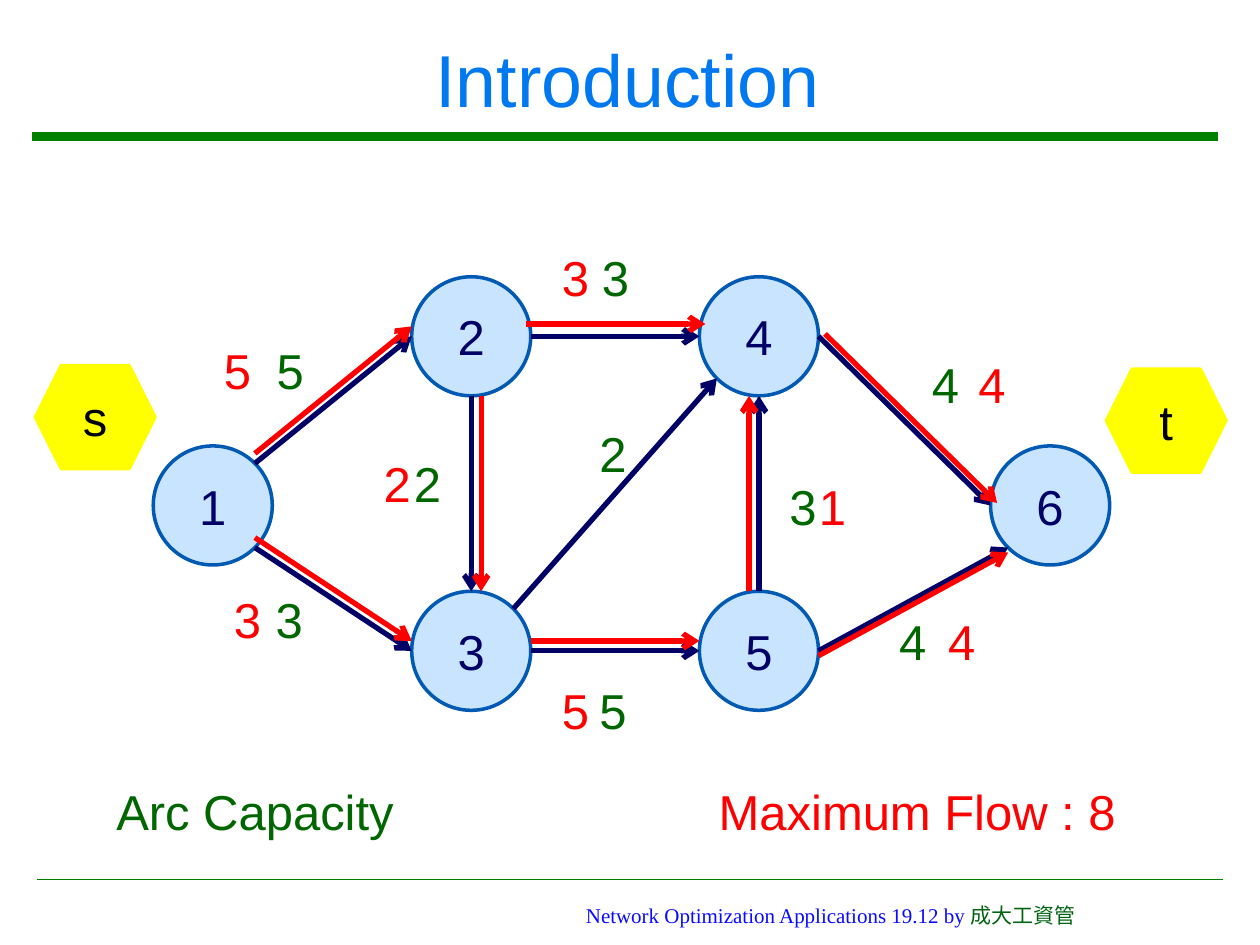
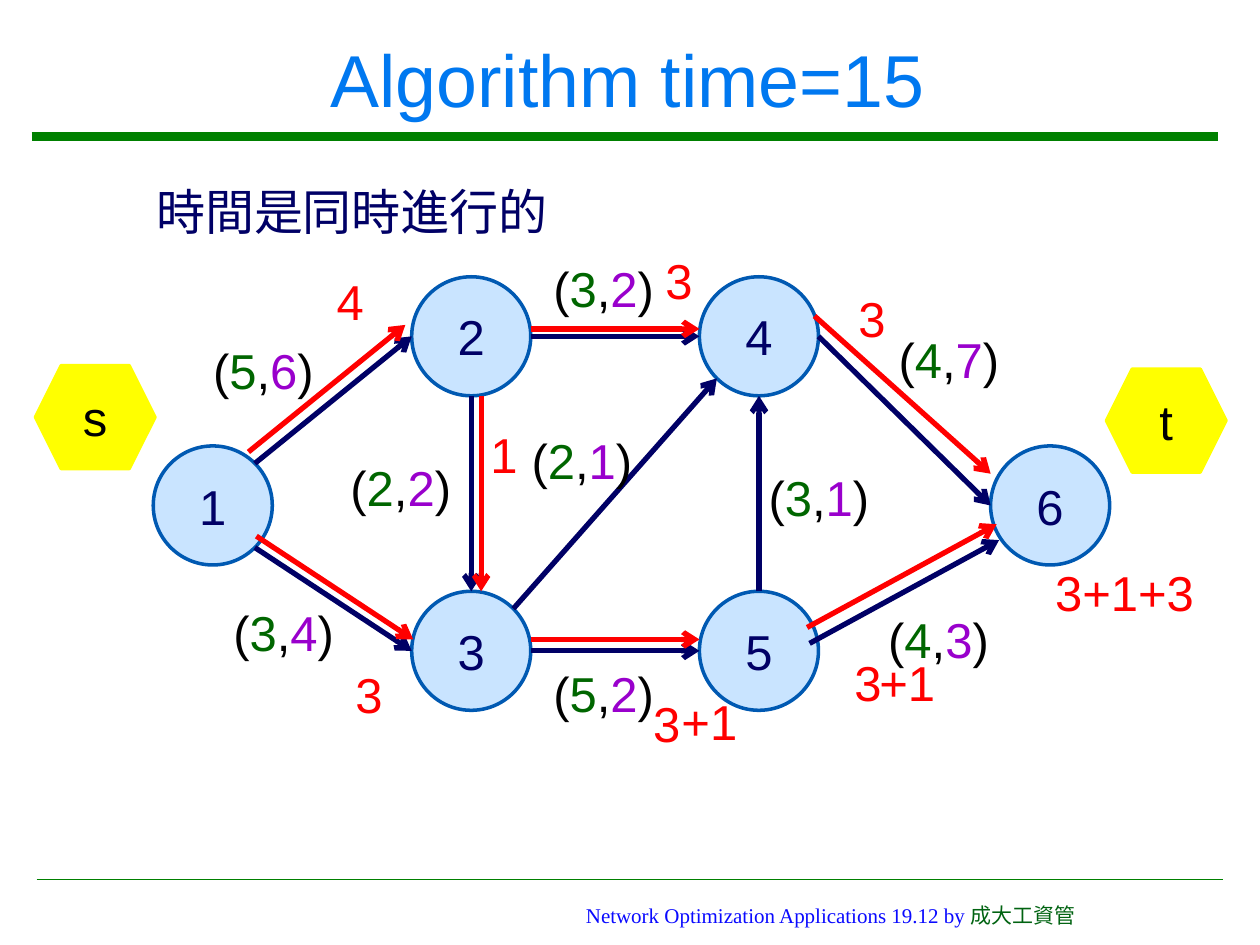
from dataclasses import dataclass
from math import sqrt
from typing import NamedTuple

from pptx import Presentation
from pptx.dml.color import RGBColor
from pptx.enum.shapes import MSO_CONNECTOR, MSO_SHAPE
from pptx.enum.text import MSO_ANCHOR, PP_ALIGN
from pptx.oxml.ns import qn
from pptx.oxml.xmlchemy import OxmlElement
from pptx.shapes.autoshape import Shape
from pptx.slide import Slide
from pptx.util import Cm, Pt

BLACK = RGBColor(0x00, 0x00, 0x00)
RED = RGBColor(0xFF, 0x00, 0x00)
YELLOW = RGBColor(0xFF, 0xFF, 0x00)
NAVY = RGBColor(0x00, 0x00, 0x66)
TITLE_BLUE = RGBColor(0x00, 0x78, 0xF0)
NODE_FILL = RGBColor(0xC9, 0xE4, 0xFF)
NODE_LINE = RGBColor(0x00, 0x59, 0xB2)
RULE_GREEN = RGBColor(0x00, 0x80, 0x00)
CAPACITY_GREEN = RGBColor(0x00, 0x66, 0x00)
TIME_PURPLE = RGBColor(0x99, 0x00, 0xCC)
FOOTER_BLUE = RGBColor(0x0A, 0x0A, 0xFF)
FOOTER_GREEN = RGBColor(0x01, 0x63, 0x11)

SANS = "Arial"
SERIF = "Times New Roman"
NODE_SIZE = 2.4
DIAGONAL = 1 / sqrt(2)


class Point(NamedTuple):
    x: float
    y: float

    def shifted(self, dx: float, dy: float) -> "Point":
        return Point(self.x + dx, self.y + dy)


class Span(NamedTuple):
    text: str
    color: RGBColor


@dataclass(frozen=True)
class Arc:
    """A directed edge between two nodes, each met at a compass side."""
    start: int
    start_side: str
    end: int
    end_side: str

    def ends(self) -> tuple[Point, Point]:
        return rim(self.start, self.start_side), rim(self.end, self.end_side)


@dataclass(frozen=True)
class Flow:
    """A flow arrow: an arc with its two ends shifted."""
    arc: str
    start_shift: Point
    end_shift: Point | None = None


@dataclass(frozen=True)
class Label:
    text: str
    x: float
    y: float
    width: float = 2.84


@dataclass(frozen=True)
class Pair:
    """Capacity and time of an arc, shown in brackets."""
    capacity: str
    time: str
    x: float
    y: float

    def spans(self) -> list[Span]:
        return [Span("(", BLACK), Span(self.capacity, CAPACITY_GREEN), Span(",", BLACK),
                Span(self.time, TIME_PURPLE), Span(")", BLACK)]


NODES = {
    1: Point(4.29, 10.19),
    2: Point(9.5, 6.78),
    3: Point(9.5, 13.12),
    4: Point(15.3, 6.78),
    5: Point(15.3, 13.12),
    6: Point(21.17, 10.19),
}
SIDES = {
    "N": (0, -1), "E": (1, 0), "S": (0, 1), "W": (-1, 0),
    "NE": (DIAGONAL, -DIAGONAL), "SE": (DIAGONAL, DIAGONAL), "SW": (-DIAGONAL, DIAGONAL),
}
ARCS = {
    "1-2": Arc(1, "NE", 2, "W"),
    "2-4": Arc(2, "E", 4, "W"),
    "3-5": Arc(3, "E", 5, "W"),
    "4-6": Arc(4, "E", 6, "W"),
    "1-3": Arc(1, "SE", 3, "W"),
    "3-4": Arc(3, "NE", 4, "SW"),
    "5-4": Arc(5, "N", 4, "S"),
    "5-6": Arc(5, "E", 6, "SW"),
    "2-3": Arc(2, "S", 3, "N"),
}

MAXIMUM_FLOWS = [
    Flow("1-2", Point(0, -0.2)),
    Flow("1-3", Point(0, -0.2)),
    Flow("2-4", Point(-0.1, -0.25), Point(0.12, -0.25)),
    Flow("4-6", Point(0.13, -0.05)),
    Flow("5-6", Point(0, 0.1)),
    Flow("2-3", Point(0.2, 0)),
    Flow("3-5", Point(0, -0.2)),
    Flow("5-4", Point(-0.2, 0)),
]
CAPACITIES = [
    Label("5", 5.85, 7.45), Label("3", 12.41, 5.58), Label("2", 12.36, 9.13),
    Label("2", 8.62, 9.74), Label("3", 5.83, 12.48), Label("4", 19.06, 7.73),
    Label("4", 18.4, 12.92), Label("3", 16.19, 10.2), Label("5", 12.36, 14.31),
    Label("Arc Capacity", 5.14, 16.34, 7.8),
]
FLOW_VALUES = [
    Label("5", 4.79, 7.45), Label("3", 4.99, 12.48), Label("2", 8.01, 9.74),
    Label("3", 11.6, 5.58), Label("1", 16.78, 10.2), Label("4", 20, 7.73),
    Label("4", 19.39, 12.92), Label("5", 11.6, 14.31),
    Label("Maximum Flow : 8", 18.49, 16.34, 11.23),
]

TIMED_FLOWS = [
    Flow("1-3", Point(0.03, -0.23)),
    Flow("4-6", Point(-0.08, -0.41), Point(0, -0.64)),
    Flow("3-5", Point(0, -0.23)),
    Flow("1-2", Point(-0.13, -0.23)),
    Flow("2-3", Point(0.2, 0)),
    Flow("2-4", Point(0, -0.15)),
    Flow("5-6", Point(-0.23, -0.47)),
]
PAIRS = [
    Pair("5", "6", 5.31, 7.45), Pair("3", "4", 5.72, 12.74), Pair("3", "2", 12.17, 5.8),
    Pair("2", "2", 8.08, 9.82), Pair("2", "1", 11.73, 9.28), Pair("5", "2", 12.17, 13.96),
    Pair("3", "1", 16.51, 10.02), Pair("4", "7", 19.13, 7.23), Pair("4", "3", 18.92, 12.89),
]
TIMED_VALUES = [
    Label("3", 7.44, 13.98), Label("3", 13.44, 14.57), Label("3", 17.5, 13.75),
    Label("4", 7.06, 6.06), Label("3", 13.69, 5.65), Label("1", 10.16, 9.16),
    Label("3", 17.58, 6.41), Label("+1", 14.3, 14.54), Label("+1", 18.29, 13.75),
    Label("3+1+3", 22.67, 11.94, 3.84),
]


def rim(node: int, side: str) -> Point:
    """Point where a compass side of a node meets its circle."""
    dx, dy = SIDES[side]
    return NODES[node].shifted(dx * NODE_SIZE / 2, dy * NODE_SIZE / 2)


def write(shape: Shape, spans: list[Span], *, size: float = 28, font: str = SANS,
          align: PP_ALIGN = PP_ALIGN.CENTER, anchor: MSO_ANCHOR = MSO_ANCHOR.MIDDLE) -> None:
    frame = shape.text_frame
    frame.word_wrap = True
    frame.vertical_anchor = anchor
    para = frame.paragraphs[0]
    para.alignment = align
    for span in spans:
        run = para.add_run()
        run.text = span.text
        run.font.name = font
        run.font.size = Pt(size)
        run.font.color.rgb = span.color


def add_text(page: Slide, spans: list[Span], x: float, y: float, *,
             width: float = 2.84, height: float = 1.65, **text_format) -> None:
    """Text box centred on (x, y)."""
    box = page.shapes.add_textbox(Cm(x - width / 2), Cm(y - height / 2), Cm(width), Cm(height))
    write(box, spans, **text_format)


def add_labels(page: Slide, labels: list[Label], color: RGBColor) -> None:
    for label in labels:
        add_text(page, [Span(label.text, color)], label.x, label.y, width=label.width)


def add_figure(page: Slide, kind: MSO_SHAPE, center: Point, width: float, height: float,
               fill: RGBColor, outline: RGBColor, caption: Span) -> None:
    figure = page.shapes.add_shape(kind, Cm(center.x - width / 2), Cm(center.y - height / 2),
                                   Cm(width), Cm(height))
    figure.shadow.inherit = False
    figure.fill.solid()
    figure.fill.fore_color.rgb = fill
    figure.line.color.rgb = outline
    figure.line.width = Pt(2)
    write(figure, [caption])


def add_line(page: Slide, start: Point, end: Point, color: RGBColor, width: float = 3,
             arrow: bool = True) -> None:
    line = page.shapes.add_connector(MSO_CONNECTOR.STRAIGHT, Cm(start.x), Cm(start.y),
                                     Cm(end.x), Cm(end.y))
    line.line.color.rgb = color
    line.line.width = Pt(width)
    properties = line._element.spPr
    if arrow:
        head = OxmlElement("a:tailEnd")
        head.set("type", "arrow")
        properties.find(qn("a:ln")).append(head)
    properties.append(OxmlElement("a:effectLst"))


def add_frame(page: Slide, title: str) -> None:
    """Title, the two green rules and the footer."""
    add_line(page, Point(0.64, 2.75), Point(24.56, 2.75), RULE_GREEN, 5.25, arrow=False)
    add_line(page, Point(0.74, 17.73), Point(24.66, 17.73), RULE_GREEN, 1, arrow=False)
    add_text(page, [Span(title, TITLE_BLUE)], 12.65, 1.57, width=24.9, height=2.7, size=42)
    add_text(page, [Span("Network Optimization Applications 19.12 by ", FOOTER_BLUE),
                    Span("成大工資管", FOOTER_GREEN)],
             16.75, 18.44, width=16, height=1, size=12, font=SERIF)


def add_network(page: Slide, shifts: dict[str, Point]) -> None:
    """Nodes, arcs and terminals; shifts moves single arcs."""
    for number, center in NODES.items():
        add_figure(page, MSO_SHAPE.OVAL, center, NODE_SIZE, NODE_SIZE,
                   NODE_FILL, NODE_LINE, Span(str(number), NAVY))
    for name, arc in ARCS.items():
        shift = shifts.get(name, Point(0, 0))
        start, end = arc.ends()
        add_line(page, start.shifted(*shift), end.shifted(*shift), NAVY)
    for name, center in (("s", Point(1.92, 8.41)), ("t", Point(23.51, 8.48))):
        add_figure(page, MSO_SHAPE.HEXAGON, center, 2.41, 2.08, YELLOW, YELLOW, Span(name, BLACK))


def add_flows(page: Slide, flows: list[Flow]) -> None:
    for flow in flows:
        start, end = ARCS[flow.arc].ends()
        end_shift = flow.end_shift or flow.start_shift
        add_line(page, start.shifted(*flow.start_shift), end.shifted(*end_shift), RED)


def add_introduction(page: Slide) -> None:
    add_frame(page, "Introduction")
    add_network(page, {})
    add_labels(page, CAPACITIES, CAPACITY_GREEN)
    add_flows(page, MAXIMUM_FLOWS)
    add_labels(page, FLOW_VALUES, RED)


def add_algorithm(page: Slide) -> None:
    add_frame(page, "Algorithm time=15")
    add_network(page, {"5-6": Point(-0.18, -0.15)})
    for pair in PAIRS:
        add_text(page, pair.spans(), pair.x, pair.y)
    add_flows(page, TIMED_FLOWS)
    add_labels(page, TIMED_VALUES, RED)
    add_text(page, [Span("時間是同時進行的", NAVY)], 11.23, 4.25, width=16.66, height=1.45,
             font=SERIF, align=PP_ALIGN.LEFT, anchor=MSO_ANCHOR.TOP)


def main() -> None:
    deck = Presentation()
    deck.slide_width, deck.slide_height = Cm(25.4), Cm(19.05)
    for fill_page in (add_introduction, add_algorithm):
        fill_page(deck.slides.add_slide(deck.slide_layouts[6]))
    deck.save("out.pptx")


if __name__ == "__main__":
    main()
